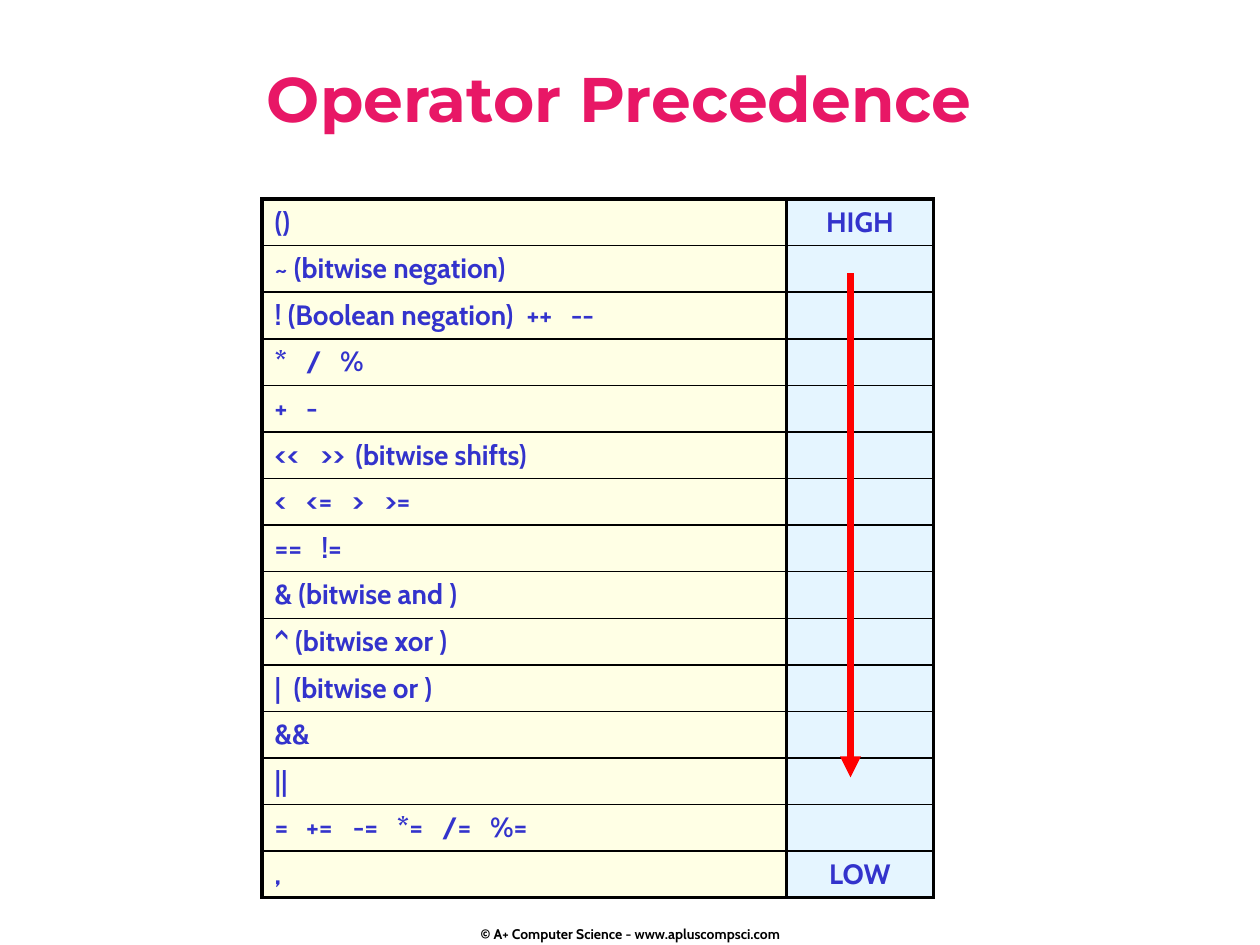
import pptx
import pptx.util
import pptx.dml.color
import pptx.enum.shapes
import pptx.enum.text
import pptx.oxml.ns
from lxml import etree

Inches, Pt = pptx.util.Inches, pptx.util.Pt
CENTER = pptx.enum.text.PP_ALIGN.CENTER
LEFT = pptx.enum.text.PP_ALIGN.LEFT
MIDDLE = pptx.enum.text.MSO_ANCHOR.MIDDLE
TOP = pptx.enum.text.MSO_ANCHOR.TOP

TITLE = "Operator Precedence"
FOOTER = "© A+ Computer Science - www.apluscompsci.com"
# operators from high to low, each with its tab stops in inches
OPERATORS = [
    ("()", []),
    ("~ (bitwise negation)", []),
    ("! (Boolean negation)\t++\t--", [2.0, 2.35]),
    ("*\t/\t%", [0.25, 0.52]),
    ("+\t-", [0.25]),
    ("<<\t>>\t(bitwise shifts)", [0.36, 0.64]),
    ("<\t<=\t>\t>=", [0.25, 0.61, 0.87]),
    ("==\t!=", [0.37]),
    ("& (bitwise and )", []),
    ("^ (bitwise xor )", []),
    ("|\t(bitwise or )", [0.15]),
    ("&&", []),
    ("||", []),
    ("=\t+=\t-=\t*=\t/=\t%=", [0.25, 0.62, 0.97, 1.33, 1.71]),
    (",", []),
]
LAST = len(OPERATORS) - 1
LEVELS = {0: "HIGH", LAST: "LOW"}
COLUMN_WIDTHS = [4.16, 1.17]
COLUMN_FILLS = ["FFFFCC", "CCECFF"]
ROW_HEIGHT = 0.37
THICK, THIN = 2.25, 1

TITLE_FONT = {"name": "Montserrat", "size": Pt(36), "bold": True}
TABLE_FONT = {"name": "Cabin", "size": Pt(16), "bold": True}
FOOTER_FONT = {"name": "Cabin", "size": Pt(8), "bold": True}


def rgb(color):
    return pptx.dml.color.RGBColor.from_string(color)


def add_node(parent, tag, **attributes):
    return etree.SubElement(parent, pptx.oxml.ns.qn(tag), attributes)


def write(frame, text, font, color, align, stops=()):
    paragraph = frame.paragraphs[0]
    paragraph.alignment = align
    if stops:
        tabs = add_node(paragraph._p.get_or_add_pPr(), "a:tabLst")
        for stop in stops:
            add_node(tabs, "a:tab", pos=str(Inches(stop)), algn="l")
    run = paragraph.add_run()
    run.text = text
    for key, value in font.items():
        setattr(run.font, key, value)
    run.font.color.rgb = rgb(color)


def add_label(slide, box, text, font, color, anchor, inset):
    frame = slide.shapes.add_textbox(*map(Inches, box)).text_frame
    frame.word_wrap = True
    frame.vertical_anchor = anchor
    frame.margin_top = frame.margin_bottom = Inches(inset)
    write(frame, text, font, color, CENTER)


def style_cell(cell, color, row):
    """Half-transparent fill, with a thick outer frame and thin row rules."""
    cell.fill.solid()
    cell.fill.fore_color.rgb = rgb(color)
    properties = cell._tc.get_or_add_tcPr()
    tint = properties.find(".//" + pptx.oxml.ns.qn("a:srgbClr"))
    add_node(tint, "a:alpha", val="50000")
    widths = {
        "a:lnL": THICK,
        "a:lnR": THICK,
        "a:lnT": THICK if row == 0 else THIN,
        "a:lnB": THICK if row == LAST else THIN,
    }
    for position, (tag, width) in enumerate(widths.items()):
        border = add_node(properties, tag, w=str(Pt(width)))
        add_node(add_node(border, "a:solidFill"), "a:srgbClr", val="000000")
        properties.insert(position, border)


def add_precedence_table(slide):
    table = slide.shapes.add_table(
        len(OPERATORS), 2, Inches(2.08), Inches(1.58),
        Inches(sum(COLUMN_WIDTHS)), Inches(ROW_HEIGHT * len(OPERATORS))).table
    table.first_row = table.horz_banding = False
    for column, width in zip(table.columns, COLUMN_WIDTHS):
        column.width = Inches(width)
    for row, (operators, stops) in enumerate(OPERATORS):
        table.rows[row].height = Inches(ROW_HEIGHT)
        contents = [(operators, LEFT, stops), (LEVELS.get(row), CENTER, [])]
        for column, (text, align, tabs) in enumerate(contents):
            cell = table.cell(row, column)
            style_cell(cell, COLUMN_FILLS[column], row)
            if text:
                write(cell.text_frame, text, TABLE_FONT, "3333CC", align, tabs)
            else:
                cell.margin_top = cell.margin_bottom = 0


def add_high_to_low_arrow(slide):
    arrow = slide.shapes.add_connector(
        pptx.enum.shapes.MSO_CONNECTOR.STRAIGHT,
        Inches(6.75), Inches(2.17), Inches(6.75), Inches(6.17))
    arrow.line.color.rgb = rgb("FF0000")
    arrow.line.width = Pt(4)
    add_node(arrow.line._get_or_add_ln(), "a:tailEnd", type="triangle")
    add_node(arrow._element.spPr, "a:effectLst")


def main():
    deck = pptx.Presentation()
    deck.slide_width, deck.slide_height = Inches(10), Inches(7.5)
    slide = deck.slides.add_slide(deck.slide_layouts[6])
    add_label(slide, (3.42, 7.32, 3.17, 0.18), FOOTER, FOOTER_FONT, "000000", MIDDLE, 0)
    add_label(slide, (0.83, 0.42, 8.17, 0.92), TITLE, TITLE_FONT, "E81766", TOP, 0.05)
    add_precedence_table(slide)
    add_high_to_low_arrow(slide)
    deck.save("out.pptx")


if __name__ == "__main__":
    main()
